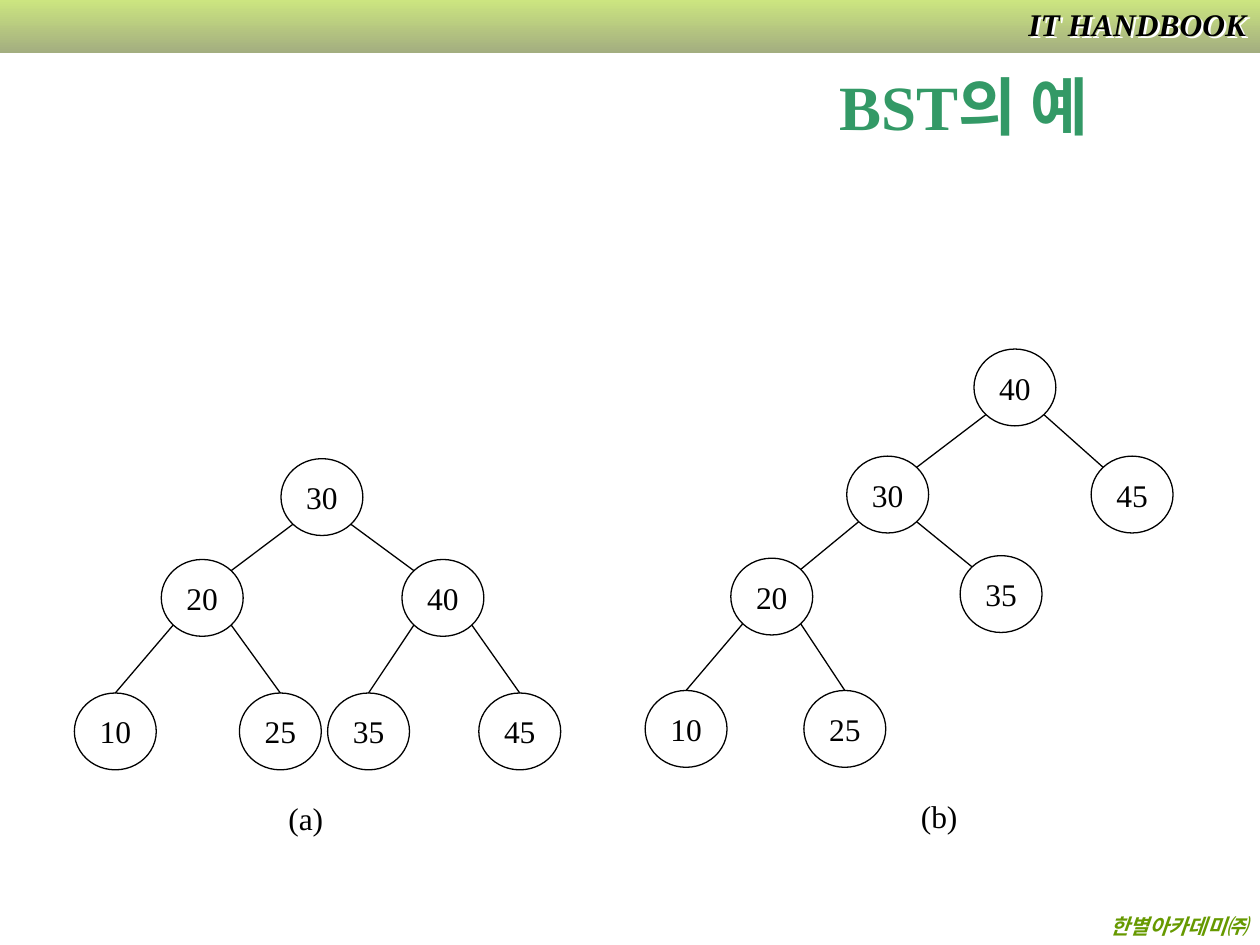
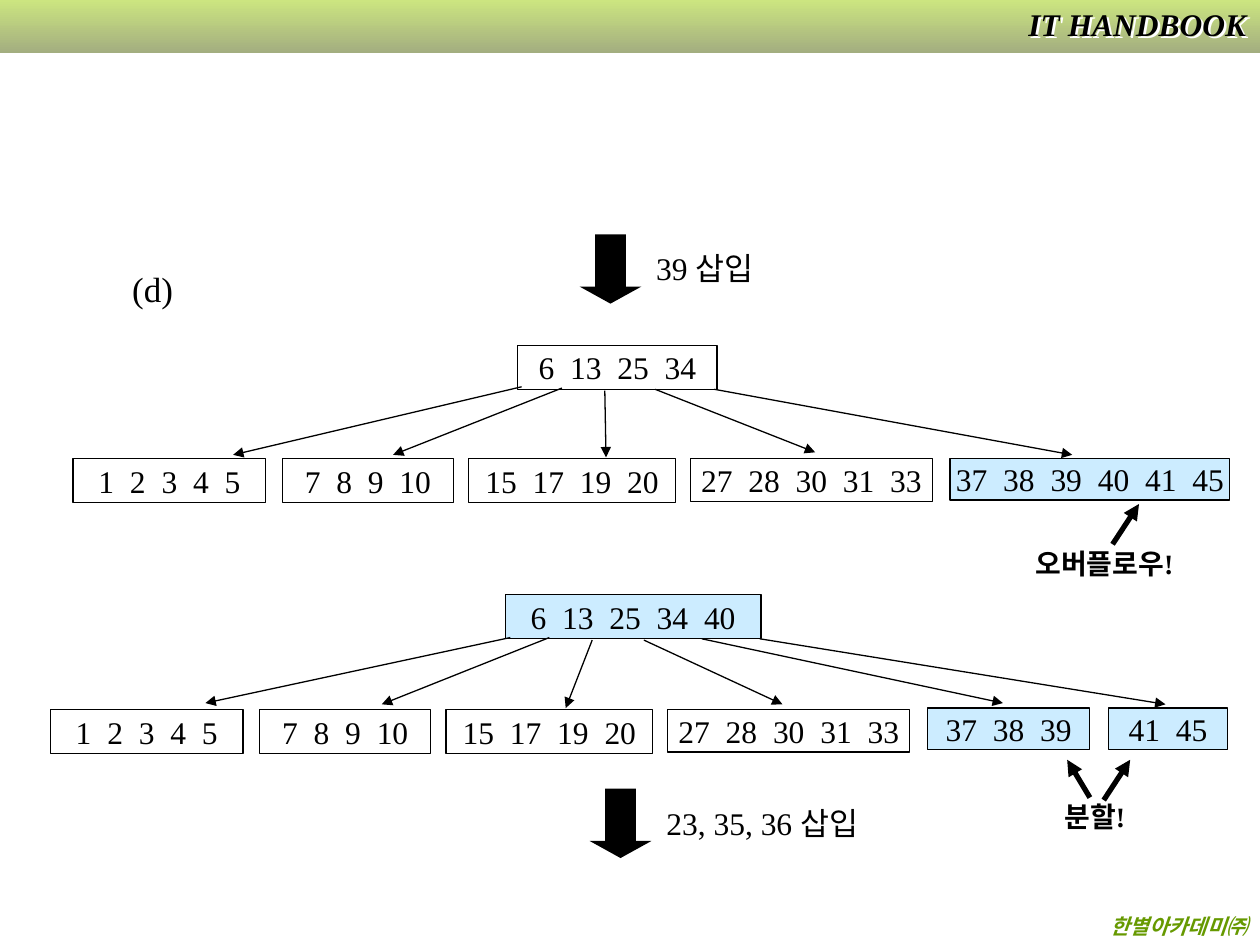
import pptx
import pptx.dml.color
import pptx.enum.shapes
import pptx.enum.text
import pptx.oxml
import pptx.oxml.ns
import pptx.util
from pptx.util import Inches

LATIN_FONT = "Times New Roman"
KOREAN_FONT = "Noto Sans CJK KR"
BLACK, WHITE = "000000", "FFFFFF"
TITLE_GREEN, FOOTER_GREEN = "339966", "669900"
BAND_TOP, BAND_BOTTOM = "CCE580", "A3AE80"
CHANGED_BLUE = "CCECFF"

NODE_WIDTH, NODE_HEIGHT = 0.65, 0.61
DIAGONAL = 0.5 ** 0.5 / 2
KEY_GAP = 4.5

SHAPES = pptx.enum.shapes.MSO_SHAPE
ALIGN = pptx.enum.text.PP_ALIGN
ANCHOR = pptx.enum.text.MSO_ANCHOR
NAMESPACE = pptx.oxml.ns.nsdecls("a")

BALANCED_NODES = {30: (2.23, 3.64), 20: (1.28, 4.44), 40: (3.19, 4.44),
                  10: (0.59, 5.5), 25: (1.9, 5.5), 35: (2.6, 5.5), 45: (3.8, 5.5)}
BALANCED_EDGES = [(30, 20), (30, 40), (20, 10), (20, 25), (40, 35), (40, 45)]
LEANING_NODES = {40: (7.73, 2.77), 30: (6.72, 3.62), 45: (8.66, 3.62), 20: (5.8, 4.43),
                 35: (7.62, 4.41), 10: (5.12, 5.48), 25: (6.38, 5.48)}
LEANING_EDGES = [(40, 30), (40, 45), (30, 20), (30, 35), (20, 10), (20, 25)]

# Leaves that both B-trees have: keys, left, width, height
COMMON_LEAVES = [("1 2 3 4 5", 0.58, 1.53, 0.35), ("7 8 9 10", 2.24, 1.36, 0.35),
                 ("15 17 19 20", 3.72, 1.64, 0.35), ("27 28 30 31 33", 5.48, 1.92, 0.34)]
OVERFLOW_ARROWS = [(4.14, 3.07, 1.85, 3.61), (4.46, 3.08, 3.12, 3.61), (4.8, 3.1, 4.81, 3.63),
                   (5.2, 3.09, 6.47, 3.59), (5.67, 3.09, 8.51, 3.61)]
SPLIT_ARROWS = [(4.05, 5.06, 1.63, 5.58), (4.36, 5.06, 3.03, 5.59), (4.7, 5.08, 4.49, 5.62),
                (5.11, 5.08, 6.21, 5.59), (5.57, 5.07, 7.96, 5.58), (6.03, 5.07, 9.25, 5.59)]


def color(hex_text):
    return pptx.dml.color.RGBColor.from_string(hex_text)


def write_text(shape, text, size=18, color_hex=BLACK, bold=False, italic=False,
               align=ALIGN.LEFT, anchor=ANCHOR.TOP, wrap=False, word_gap=0):
    """Fill the shape with one paragraph; word_gap widens each space by that many points."""
    frame = shape.text_frame
    frame.word_wrap = wrap
    frame.vertical_anchor = anchor
    paragraph = frame.paragraphs[0]
    paragraph.alignment = align
    pieces = [text]
    if word_gap:
        pieces = text.replace(" ", "| |").split("|")
    for piece in pieces:
        run = paragraph.add_run()
        run.text = piece
        run.font.size = pptx.util.Pt(size)
        run.font.bold = bold
        run.font.italic = italic
        run.font.color.rgb = color(color_hex)
        run.font.name = LATIN_FONT
        properties = run._r.get_or_add_rPr()
        properties.append(pptx.oxml.parse_xml(f'<a:ea {NAMESPACE} typeface="{KOREAN_FONT}"/>'))
        if piece == " ":
            properties.set("spc", str(int(word_gap * 100)))


def add_label(slide, text, left, top, width, height=0.4, **text_format):
    box = slide.shapes.add_textbox(Inches(left), Inches(top), Inches(width), Inches(height))
    write_text(box, text, **text_format)
    return box


def add_white_shadow(box):
    box._element.spPr.append(pptx.oxml.parse_xml(
        f'<a:effectLst {NAMESPACE}><a:outerShdw dist="25400" dir="2700000">'
        f'<a:srgbClr val="{WHITE}"/></a:outerShdw></a:effectLst>'))


def add_shape(slide, kind, left, top, width, height, fill=None, outlined=True):
    shape = slide.shapes.add_shape(kind, Inches(left), Inches(top), Inches(width), Inches(height))
    shape.shadow.inherit = False
    if fill:
        shape.fill.solid()
        shape.fill.fore_color.rgb = color(fill)
    else:
        shape.fill.background()
    if outlined:
        shape.line.color.rgb = color(BLACK)
        shape.line.width = pptx.util.Pt(0.75)
    else:
        shape.line.fill.background()
    return shape


def add_line(slide, x1, y1, x2, y2, width=0.75, arrow=False):
    line = slide.shapes.add_connector(pptx.enum.shapes.MSO_CONNECTOR.STRAIGHT,
                                      Inches(x1), Inches(y1), Inches(x2), Inches(y2))
    line.line.color.rgb = color(BLACK)
    line.line.width = pptx.util.Pt(width)
    if arrow:
        line.line._get_or_add_ln().append(
            pptx.oxml.parse_xml(f'<a:tailEnd {NAMESPACE} type="triangle"/>'))
    line._element.spPr.append(pptx.oxml.parse_xml(f"<a:effectLst {NAMESPACE}/>"))


def add_base_slide(presentation):
    """Add a blank slide with the shared band, header and footer."""
    slide = presentation.slides.add_slide(presentation.slide_layouts[6])
    band = add_shape(slide, SHAPES.RECTANGLE, 0, 0, 10, 0.42, outlined=False)
    band.fill.gradient()
    band.fill.gradient_angle = 270
    for stop, hex_text in zip(band.fill.gradient_stops, (BAND_TOP, BAND_BOTTOM)):
        stop.color.rgb = color(hex_text)
    marked = dict(bold=True, italic=True, align=ALIGN.RIGHT, wrap=True)
    add_label(slide, "한별아카데미㈜", 0.06, 7.2, 9.94, 0.3, size=12,
              color_hex=FOOTER_GREEN, **marked)
    add_white_shadow(add_label(slide, "IT HANDBOOK", 7.88, -0.01, 2.11, **marked))
    return slide


def add_search_tree(slide, nodes, edges):
    """Draw circles at their left and top; edges meet the lowest row at the top of the circle."""
    lowest_top = max(top for _, top in nodes.values())
    for key, (left, top) in nodes.items():
        node = add_shape(slide, SHAPES.OVAL, left, top, NODE_WIDTH, NODE_HEIGHT)
        write_text(node, str(key), align=ALIGN.CENTER, anchor=ANCHOR.MIDDLE)
    dx, dy = NODE_WIDTH * DIAGONAL, NODE_HEIGHT * DIAGONAL
    for parent, child in edges:
        (parent_x, parent_y), (child_x, child_y) = [
            (left + NODE_WIDTH / 2, top + NODE_HEIGHT / 2)
            for left, top in (nodes[parent], nodes[child])]
        side = 1 if child > parent else -1
        if nodes[child][1] == lowest_top:
            end = child_x, lowest_top
        else:
            end = child_x - side * dx, child_y - dy
        add_line(slide, parent_x + side * dx, parent_y + dy, *end)


def add_key_block(slide, keys, left, top, width, height=0.35, fill=None):
    block = add_shape(slide, SHAPES.RECTANGLE, left, top, width, height, fill)
    write_text(block, keys, align=ALIGN.CENTER, anchor=ANCHOR.MIDDLE, word_gap=KEY_GAP)


def add_common_leaves(slide, shift, top):
    for keys, left, width, height in COMMON_LEAVES:
        add_key_block(slide, keys, left + shift, top, width, height)


def add_insert_step(slide, text, left, top, text_width):
    """Draw the block arrow and, beside it, the keys that are inserted."""
    arrow = add_shape(slide, SHAPES.DOWN_ARROW, left, top, 0.49, 0.55, BLACK, outlined=False)
    arrow.adjustments[0] = 0.5
    arrow.adjustments[1] = 0.276
    add_label(slide, text, left + 0.51, top + 0.07, text_width, wrap=True)


def build_search_tree_slide(presentation):
    slide = add_base_slide(presentation)
    add_search_tree(slide, BALANCED_NODES, BALANCED_EDGES)
    add_search_tree(slide, LEANING_NODES, LEANING_EDGES)
    add_label(slide, "(a)", 2.19, 6.29, 0.6, wrap=True)
    add_label(slide, "(b)", 7.21, 6.28, 0.6, wrap=True)
    add_label(slide, "BST의 예", 5.35, 0.42, 4.6, 0.83, size=36, color_hex=TITLE_GREEN,
              bold=True, align=ALIGN.CENTER, anchor=ANCHOR.MIDDLE, wrap=True)


def build_insertion_slide(presentation):
    slide = add_base_slide(presentation)
    add_label(slide, "(d)", 0.95, 2.07, 0.65, 0.44, size=20, wrap=True)
    add_insert_step(slide, "39 삽입", 4.6, 1.86, 1.2)

    add_key_block(slide, "6 13 25 34", 4.11, 2.74, 1.58)
    add_common_leaves(slide, 0, 3.64)
    add_key_block(slide, "37 38 39 40 41 45", 7.54, 3.64, 2.22, 0.33, CHANGED_BLUE)

    add_key_block(slide, "6 13 25 34 40", 4.01, 4.72, 2.03, fill=CHANGED_BLUE)
    add_common_leaves(slide, -0.18, 5.63)
    add_key_block(slide, "37 38 39", 7.36, 5.62, 1.29, 0.33, CHANGED_BLUE)
    add_key_block(slide, "41 45", 8.8, 5.62, 0.94, 0.33, CHANGED_BLUE)

    for ends in OVERFLOW_ARROWS + SPLIT_ARROWS:
        add_line(slide, *ends, arrow=True)
    note = dict(size=16, bold=True, wrap=True)
    add_label(slide, "오버플로우!", 8.12, 4.29, 1.45, 0.37, **note)
    add_label(slide, "분할!", 8.35, 6.3, 0.85, 0.37, **note)
    for ends in [(8.83, 4.32, 9.04, 4), (8.76, 6.35, 8.97, 6.03), (8.65, 6.33, 8.47, 6.03)]:
        add_line(slide, *ends, width=3, arrow=True)
    add_insert_step(slide, "23, 35, 36 삽입", 4.68, 6.26, 1.95)


def main():
    presentation = pptx.Presentation()
    presentation.slide_width = Inches(10)
    presentation.slide_height = Inches(7.5)
    build_search_tree_slide(presentation)
    build_insertion_slide(presentation)
    presentation.save("out.pptx")


if __name__ == "__main__":
    main()
